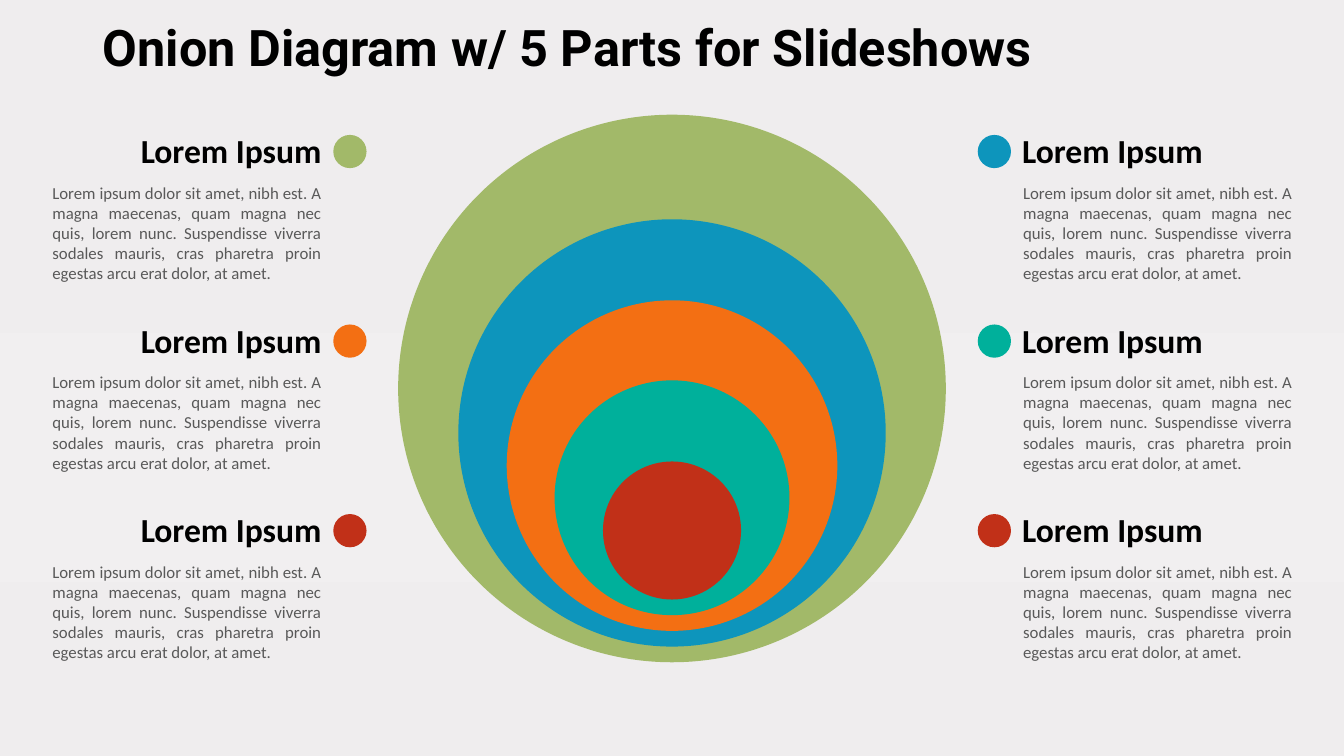
from dataclasses import dataclass

from pptx import Presentation
from pptx.dml.color import RGBColor as Rgb
from pptx.enum.shapes import MSO_SHAPE as Shape
from pptx.enum.text import MSO_ANCHOR as Anchor, MSO_AUTO_SIZE as AutoSize, PP_ALIGN as Align
from pptx.oxml import parse_xml
from pptx.oxml.ns import nsdecls, qn
from pptx.slide import Slide
from pptx.util import Emu, Inches, Pt

WIDTH, HEIGHT = Inches(13.33), Inches(7.5)
COLS = ROWS = 40


@dataclass(frozen=True)
class Theme:
    green: str = "A2B969"
    blue: str = "0D95BC"
    orange: str = "F36F13"
    teal: str = "00B09B"
    red: str = "C13018"
    ink: str = "000000"
    grey: str = "595959"
    backdrop: tuple[tuple[int, str], ...] = (
        (0, "EFEDEE"), (44, "F1EFF0"), (77, "EFEDEE"), (100, "EFEBEC"))
    title_font: str = "Roboto"
    text_font: str = "Calibri"
    title_size: int = 36
    heading_size: int = 24
    body_size: int = 12


@dataclass(frozen=True)
class Box:
    """A place on the slide, in grid columns and rows."""
    left: float
    top: float
    width: float
    height: float

    def emu(self) -> tuple[Emu, Emu, Emu, Emu]:
        return (col(self.left), row(self.top), col(self.width), row(self.height))


@dataclass(frozen=True)
class TextStyle:
    font: str
    size: int
    color: str
    bold: bool = False
    align: Align = Align.LEFT
    anchor: Anchor = Anchor.TOP
    side_inset: float = 0
    line_spacing: float = 1.0
    auto_size: AutoSize = AutoSize.SHAPE_TO_FIT_TEXT


@dataclass(frozen=True)
class Ring:
    diameter: float  # columns
    color: str


@dataclass(frozen=True)
class Side:
    text_left: float
    dot_left: float
    align: Align
    dot_colors: tuple[str, ...]


THEME = Theme()
TITLE = "Onion Diagram w/ 5 Parts for Slideshows"
HEADING = "Lorem Ipsum"
BODY = ("Lorem ipsum dolor sit amet, nibh est. A magna maecenas, quam magna nec quis, "
        "lorem nunc. Suspendisse viverra sodales mauris, cras pharetra proin egestas "
        "arcu erat dolor, at amet.")

RINGS = (
    Ring(16.3, THEME.green),
    Ring(12.72, THEME.blue),
    Ring(9.84, THEME.orange),
    Ring(6.99, THEME.teal),
    Ring(4.11, THEME.red),
)
RING_BOTTOM, RING_STEP = 35.04, 0.83

SIDES = (
    Side(30.42, 29.1, Align.LEFT, (THEME.blue, THEME.teal, THEME.red)),
    Side(1.53, 9.92, Align.RIGHT, (THEME.green, THEME.orange, THEME.red)),
)
FIRST_ITEM, ITEM_PITCH = 6.61, 10.03
DOT_DIAMETER, DOT_DROP = 0.99, 0.53
BODY_DROP, BODY_SHIFT = 2.77, 0.03

TITLE_STYLE = TextStyle(THEME.title_font, THEME.title_size, THEME.ink, bold=True,
                        side_inset=0.1, line_spacing=0.9, auto_size=AutoSize.NONE)
BODY_STYLE = TextStyle(THEME.text_font, THEME.body_size, THEME.grey, align=Align.JUSTIFY)


def col(n: float) -> Emu:
    return Emu(round(WIDTH * n / COLS))


def row(n: float) -> Emu:
    return Emu(round(HEIGHT * n / ROWS))


def paint_background(s: Slide) -> None:
    fill = s.background.fill
    fill.gradient()
    fill.gradient_angle = 270
    stops = next(s.element.iter(qn("a:gsLst")))
    for stop in list(stops):
        stops.remove(stop)
    for percent, color in THEME.backdrop:
        stops.append(parse_xml(
            f'<a:gs {nsdecls("a")} pos="{percent * 1000}"><a:srgbClr val="{color}"/></a:gs>'))


def add_circle(s: Slide, left: float, top: Emu, diameter: float, color: str) -> None:
    size = col(diameter)
    sp = s.shapes.add_shape(Shape.OVAL, col(left), top, size, size)
    sp.shadow.inherit = False
    sp.fill.solid()
    sp.fill.fore_color.rgb = Rgb.from_string(color)
    sp.line.fill.background()


def add_text(s: Slide, box: Box, text: str, style: TextStyle) -> None:
    tf = s.shapes.add_textbox(*box.emu()).text_frame
    tf.word_wrap = True
    tf.auto_size = style.auto_size
    tf.vertical_anchor = style.anchor
    tf.margin_left = tf.margin_right = Inches(style.side_inset)
    p = tf.paragraphs[0]
    p.alignment = style.align
    p.line_spacing = style.line_spacing
    r = p.add_run()
    r.text = text
    r.font.name = style.font
    r.font.size = Pt(style.size)
    r.font.bold = style.bold
    r.font.color.rgb = Rgb.from_string(style.color)


def add_onion(s: Slide) -> None:
    for i, ring in enumerate(RINGS):
        bottom = row(RING_BOTTOM - i * RING_STEP)
        add_circle(s, (COLS - ring.diameter) / 2, Emu(bottom - col(ring.diameter)),
                   ring.diameter, ring.color)


def add_side(s: Slide, side: Side) -> None:
    heading = TextStyle(THEME.text_font, THEME.heading_size, THEME.ink, bold=True,
                        align=side.align, anchor=Anchor.BOTTOM)
    for i, color in enumerate(side.dot_colors):
        top = FIRST_ITEM + i * ITEM_PITCH
        add_text(s, Box(side.text_left, top, 8.04, 2.67), HEADING, heading)
        add_text(s, Box(side.text_left + BODY_SHIFT, top + BODY_DROP, 8.01, 5.92),
                 BODY, BODY_STYLE)
        add_circle(s, side.dot_left, row(top + DOT_DROP), DOT_DIAMETER, color)


def main() -> None:
    prs = Presentation()
    prs.slide_width, prs.slide_height = WIDTH, HEIGHT
    s = prs.slides.add_slide(prs.slide_layouts[6])
    paint_background(s)
    add_onion(s)
    add_text(s, Box(2.76, 0.96, 34.5, 4.32), TITLE, TITLE_STYLE)
    for side in SIDES:
        add_side(s, side)
    prs.save("out.pptx")


if __name__ == "__main__":
    main()
